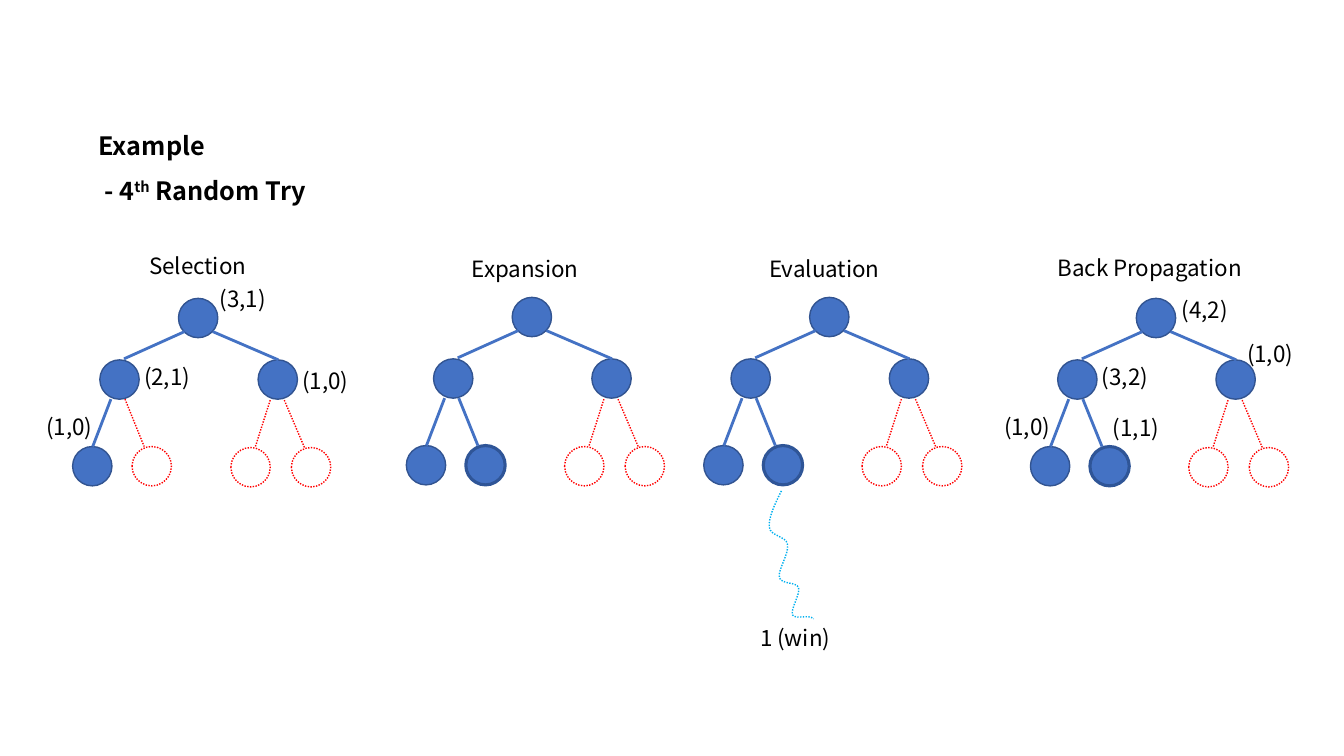
from pptx import Presentation
from pptx.dml.color import RGBColor
from pptx.enum.dml import MSO_LINE
from pptx.enum.shapes import MSO_CONNECTOR, MSO_SHAPE
from pptx.enum.text import MSO_AUTO_SIZE, PP_ALIGN
from pptx.oxml.ns import qn
from pptx.util import Inches, Pt
from lxml.etree import SubElement

COLORS = {
    "text": "000000",
    "node": "4472C4",
    "node_edge": "325491",
    "new_edge": "2F5597",
    "open": "FF0000",
    "rollout": "00B0F0",
}
NODE_SIZE = 0.39
NODE_KINDS = {
    "visited": ("node", "node_edge", {"width": Pt(1)}),
    "new": ("node", "new_edge", {"width": Pt(2.25)}),
    "open": (None, "open", {"width": Pt(1), "dash_style": MSO_LINE.ROUND_DOT}),
}
EDGE_KINDS = {
    "visited": ("node", {"width": Pt(2)}),
    "new": ("node", {"width": Pt(2)}),
    "open": ("open", {"width": Pt(1), "dash_style": MSO_LINE.ROUND_DOT}),
}
TREE_NODES = [
    (0, 0), (-0.78, 0.61), (0.79, 0.61),
    (-1.05, 1.47), (-0.46, 1.47), (0.52, 1.48), (1.12, 1.48),
]
TREE_EDGES = [
    (0.06, 0.33, -0.54, 0.6), (0.34, 0.33, 0.99, 0.61),
    (-0.67, 1, -0.85, 1.47), (-0.53, 1, -0.34, 1.47),
    (0.91, 1.01, 0.76, 1.48), (1.05, 1.01, 1.25, 1.48),
]
STAGES = [
    ("Selection", 1.38, 2.45, 1.2, 1.77, 2.96, "open"),
    ("Expansion", 4.58, 2.48, 1.29, 5.08, 2.95, "new"),
    ("Evaluation", 7.53, 2.48, 1.34, 8.03, 2.95, "new"),
    ("Back Propagation", 10.39, 2.47, 2.17, 11.27, 2.96, "new"),
]
SCORES = [
    ("(3,1)", 2.08, 2.78), ("(2,1)", 1.33, 3.55),
    ("(1,0)", 2.9, 3.59), ("(1,0)", 0.36, 4.05),
    ("(4,2)", 11.62, 2.89), ("(3,2)", 10.83, 3.55),
    ("(1,0)", 12.27, 3.33), ("(1,0)", 9.86, 4.05),
    ("(1,1)", 10.94, 4.06),
]
ROLLOUT = [
    (7.75, 4.87),
    (7.68, 5.01), (7.62, 5.14), (7.63, 5.23),
    (7.64, 5.32), (7.8, 5.32), (7.81, 5.4),
    (7.83, 5.49), (7.71, 5.66), (7.73, 5.73),
    (7.75, 5.8), (7.9, 5.77), (7.92, 5.83),
    (7.94, 5.89), (7.84, 6.04), (7.86, 6.1),
    (7.89, 6.15), (8.02, 6.09), (8.07, 6.14),
]


def apply(target, values):
    for name, value in values.items():
        setattr(target, name, value)


def color(name):
    return RGBColor.from_string(COLORS[name])


class TreeSlide:
    label_font = {"name": "Noto Sans CJK KR", "size": Pt(16), "bold": False}
    heading_font = {"name": "Noto Sans CJK KR", "size": Pt(18), "bold": True}

    def __init__(self, page):
        self.page = page

    def outline(self, shape, color_name, values):
        shape.line.color.rgb = color(color_name)
        apply(shape.line, values)

    def span(self, paragraph, text, font):
        span = paragraph.add_run()
        span.text = text
        apply(span.font, font)
        span.font.color.rgb = color("text")
        return span

    def label(self, shapes, text, left, top, width):
        box = shapes.add_textbox(Inches(left), Inches(top), Inches(width), Inches(0.37))
        apply(box.text_frame, {"word_wrap": False, "auto_size": MSO_AUTO_SIZE.SHAPE_TO_FIT_TEXT})
        paragraph = box.text_frame.paragraphs[0]
        paragraph.alignment = PP_ALIGN.LEFT
        self.span(paragraph, text, self.label_font)

    def heading(self, lines, left, top, width, height):
        box = self.page.shapes.add_textbox(Inches(left), Inches(top), Inches(width), Inches(height))
        frame = box.text_frame
        apply(frame, {"word_wrap": True, "auto_size": MSO_AUTO_SIZE.SHAPE_TO_FIT_TEXT})
        for index, line in enumerate(lines):
            paragraph = frame.add_paragraph() if index else frame.paragraphs[0]
            apply(paragraph, {"level": 1, "line_spacing": 1.5, "alignment": PP_ALIGN.LEFT})
            paragraph._p.get_or_add_pPr().set("marL", str(Inches(0.5)))
            for text, baseline in line:
                span = self.span(paragraph, text, self.heading_font)
                if baseline:
                    span._r.get_or_add_rPr().set("baseline", str(baseline * 1000))

    def node(self, shapes, left, top, kind):
        fill, edge, values = NODE_KINDS[kind]
        size = Inches(NODE_SIZE)
        circle = shapes.add_shape(MSO_SHAPE.OVAL, Inches(left), Inches(top), size, size)
        circle.shadow.inherit = False
        if fill:
            circle.fill.solid()
            circle.fill.fore_color.rgb = color(fill)
        else:
            circle.fill.background()
        self.outline(circle, edge, values)

    def edge(self, shapes, points, kind):
        line = shapes.add_connector(MSO_CONNECTOR.STRAIGHT, *map(Inches, points))
        self.outline(line, *EDGE_KINDS[kind])
        SubElement(line._element.spPr, qn("a:effectLst"))

    def tree(self, title, title_left, title_top, title_width, left, top, second_leaf):
        shapes = self.page.shapes.add_group_shape().shapes
        kinds = ["visited"] * 4 + [second_leaf, "open", "open"]
        for (across, down), kind in zip(TREE_NODES, kinds):
            self.node(shapes, left + across, top + down, kind)
        for (x1, y1, x2, y2), kind in zip(TREE_EDGES, kinds[1:]):
            self.edge(shapes, (left + x1, top + y1, left + x2, top + y2), kind)
        self.label(shapes, title, title_left, title_top, title_width)

    def curve(self, points, color_name, values):
        start, *controls = [(Inches(x), Inches(y)) for x, y in points]
        builder = self.page.shapes.build_freeform(*start)
        builder.add_line_segments(controls, close=False)
        shape = builder.convert_to_shape()
        shape.shadow.inherit = False
        shape.fill.background()
        self.outline(shape, color_name, values)
        segments = list(shape._element.iter(qn("a:lnTo")))
        outline = segments[0].getparent()
        for first in range(0, len(segments), 3):
            bezier = SubElement(outline, qn("a:cubicBezTo"))
            for segment in segments[first:first + 3]:
                bezier.append(segment[0])
                outline.remove(segment)


def main():
    deck = Presentation()
    apply(deck, {"slide_width": Inches(13.33), "slide_height": Inches(7.5)})
    slide = TreeSlide(deck.slides.add_slide(deck.slide_layouts[6]))
    shapes = slide.page.shapes
    slide.curve(ROLLOUT, "rollout", {"width": Pt(1), "dash_style": MSO_LINE.ROUND_DOT})
    slide.label(shapes, "1 (win)", 7.44, 6.14, 0.93)
    for stage in STAGES:
        slide.tree(*stage)
    for text, left, top in SCORES:
        slide.label(shapes, text, left, top, 0.68)
    slide.heading(
        [[("Example", 0)], [(" - 4", 0), ("th", 30), (" Random Try", 0)]],
        0.38, 1.09, 11.18, 0.95,
    )
    deck.save("out.pptx")


if __name__ == "__main__":
    main()
